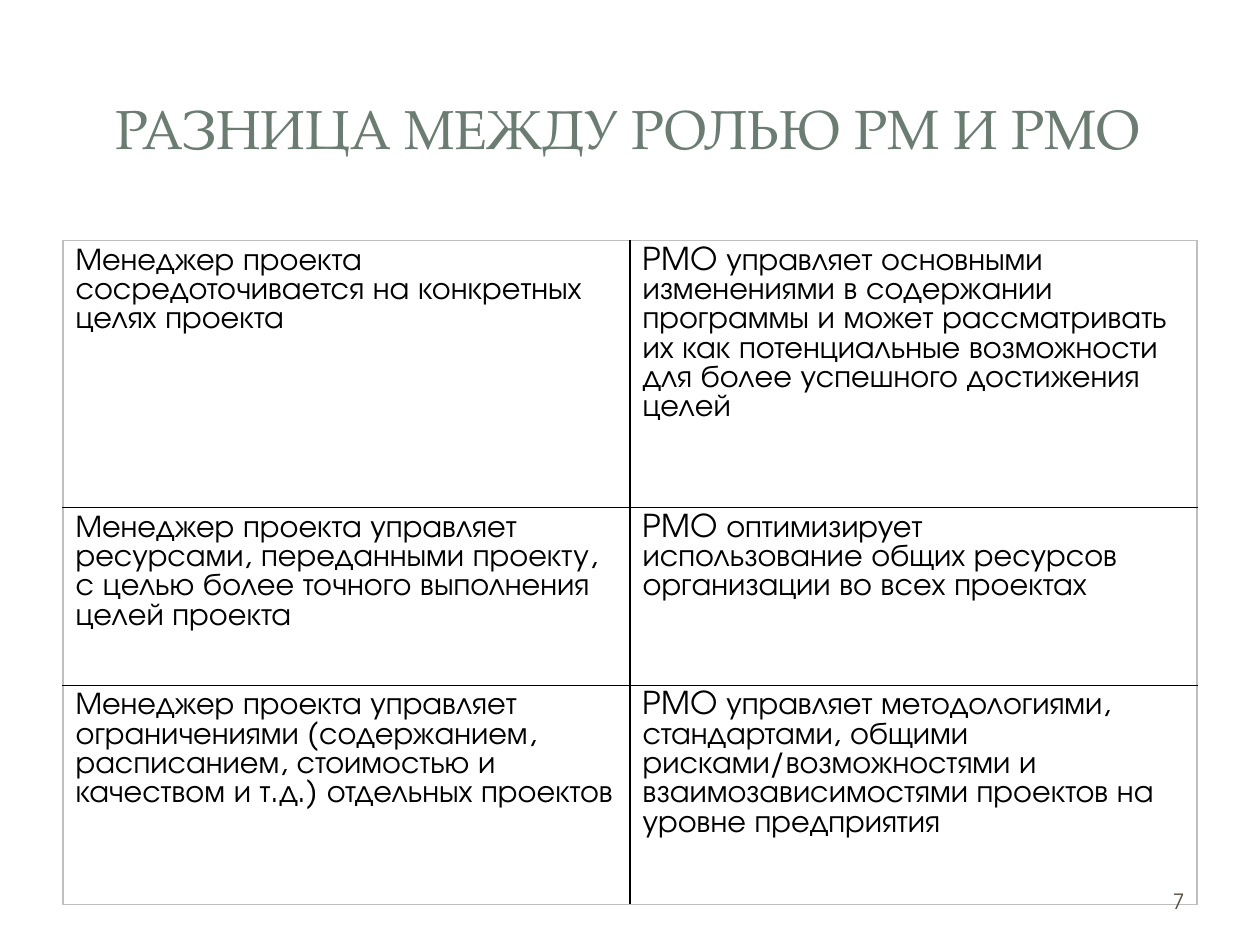
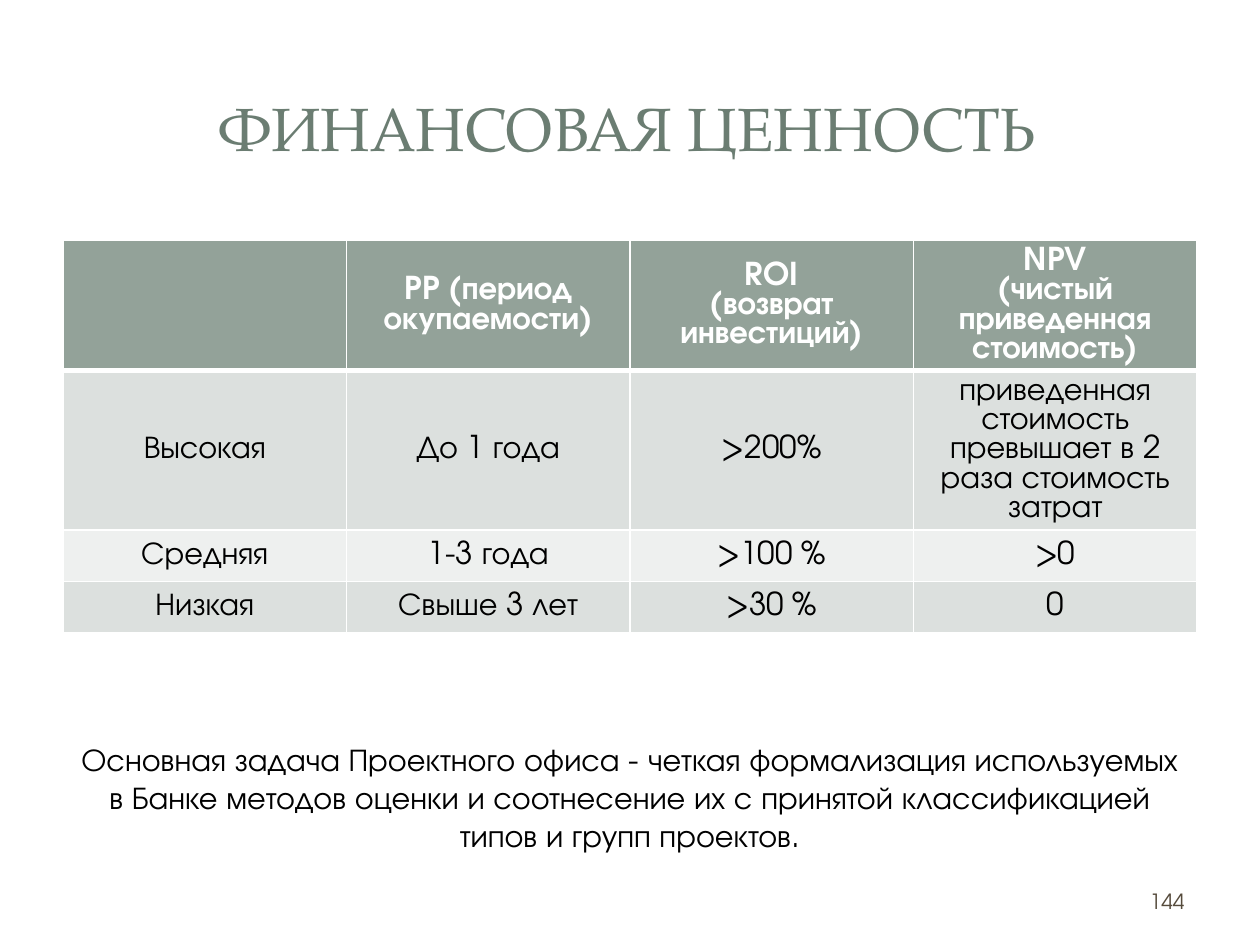
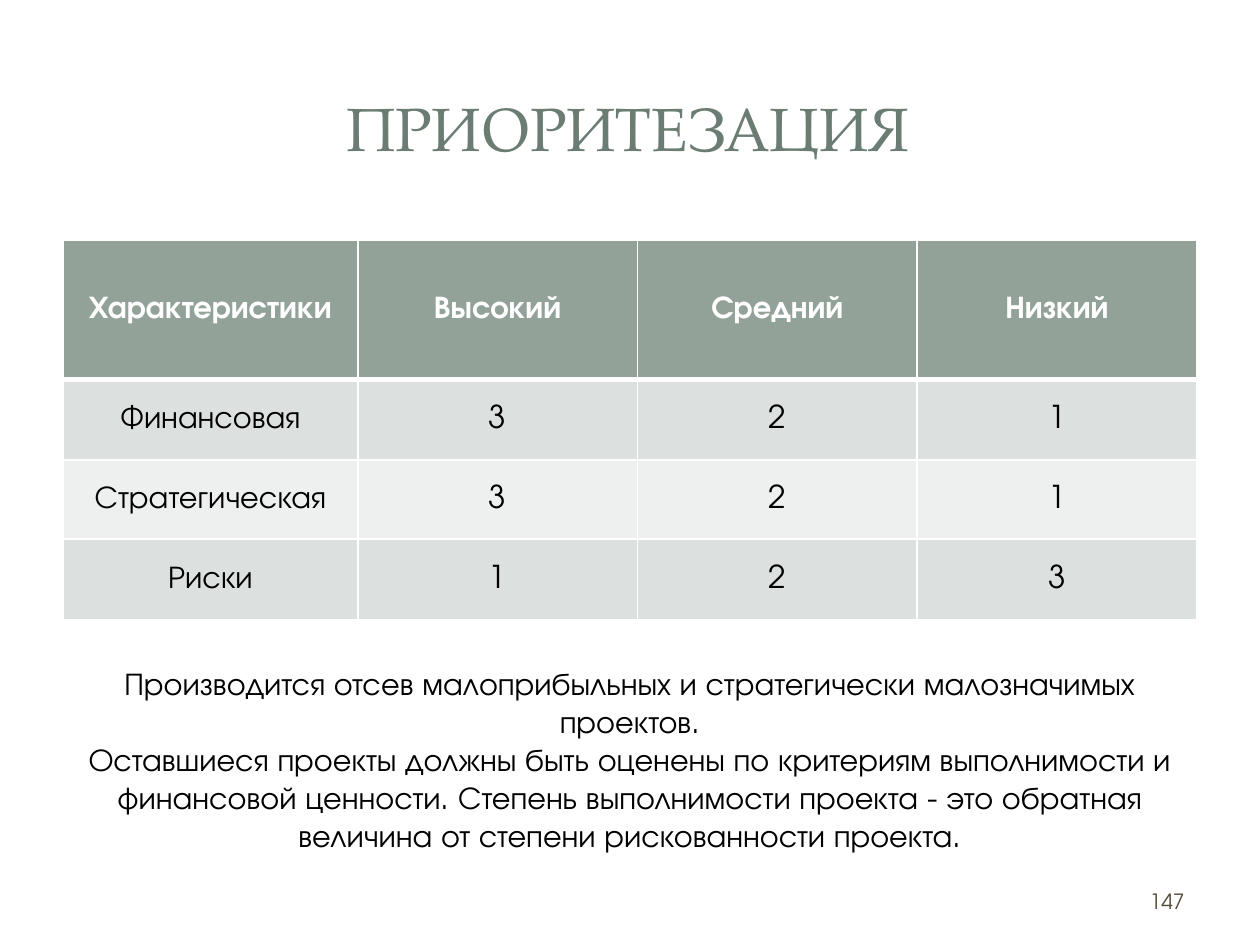
import pptx
import pptx.util
import pptx.dml.color
import pptx.enum.shapes
import pptx.enum.text
import pptx.oxml.ns
from lxml import etree

Inches = pptx.util.Inches
Pt = pptx.util.Pt
ALIGN = pptx.enum.text.PP_ALIGN
ANCHOR = pptx.enum.text.MSO_ANCHOR
SHAPE = pptx.enum.shapes.MSO_SHAPE

COLORS = {
    "title": "6B7D72",
    "text": "000000",
    "number": "564B3C",
    "white": "FFFFFF",
    "outline": "BFBFBF",
    "header": "93A299",
    "dark_band": "DCE0DE",
    "light_band": "EEF0EF",
}
TITLE_FONT = "TeX Gyre Pagella"
BODY_FONT = "TeX Gyre Adventor"
TABLE_LINE = 16.75
NOTE_LINE = 21.75
LEFT, TABLE_TOP, WIDTH = 0.5, 1.91, 9

PANELS = [
    (SHAPE.ROUNDED_RECTANGLE, (0.1, 0.11, 9.8, 7.29), 100),
    (SHAPE.RECTANGLE, (0.3, 0.3, 9.4, 1.45), 83),
    (SHAPE.RECTANGLE, (0.41, 0.41, 9.17, 1.22), 100),
]

SLIDES = [
    {
        "title": "РАЗНИЦА МЕЖДУ РОЛЬЮ PM И PMO",
        "title_size": 31.5,
        "number": "7",
        "banded": False,
        "columns": [4.5, 4.5],
        "heights": [2.12, 1.41, 1.74],
        "rows": [
            ["Менеджер проекта сосредоточивается на конкретных целях проекта",
             "PMO управляет основными изменениями в содержании программы и может "
             "рассматривать их как потенциальные возможности для более успешного "
             "достижения целей"],
            ["Менеджер проекта управляет ресурсами, переданными проекту, с целью "
             "более точного выполнения целей проекта",
             "PMO оптимизирует\nиспользование общих ресурсов организации во всех проектах"],
            ["Менеджер проекта управляет ограничениями (содержанием, расписанием, "
             "стоимостью и качеством и т.д.) отдельных проектов",
             "PMO управляет методологиями, стандартами, общими рисками/возможностями "
             "и взаимозависимостями проектов на уровне предприятия"],
        ],
    },
    {
        "title": "ФИНАНСОВАЯ ЦЕННОСТЬ",
        "title_size": 35,
        "number": "144",
        "banded": True,
        "columns": [2.25] * 4,
        "heights": [1.03, 1.25, 0.41, 0.41],
        "rows": [
            ["", "PP (период окупаемости)", "ROI\n(возврат инвестиций)",
             "NPV\n(чистый приведенная стоимость)"],
            ["Высокая", "До 1 года", ">200%",
             "приведенная стоимость превышает в 2 раза стоимость затрат"],
            ["Средняя", "1-3 года", ">100 %", ">0"],
            ["Низкая", "Свыше 3 лет", ">30 %", "0"],
        ],
        "note": "Основная задача Проектного офиса - четкая формализация используемых в "
                "Банке методов оценки и соотнесение их с принятой классификацией типов "
                "и групп проектов.",
        "note_place": (5.82, 1.01),
    },
    {
        "title": "ПРИОРИТЕЗАЦИЯ",
        "title_size": 35,
        "number": "147",
        "banded": True,
        "columns": [2.34, 2.22, 2.22, 2.22],
        "heights": [1.1, 0.64, 0.63, 0.64],
        "rows": [
            ["Характеристики", "Высокий", "Средний", "Низкий"],
            ["Финансовая", "3", "2", "1"],
            ["Стратегическая", "3", "2", "1"],
            ["Риски", "1", "2", "3"],
        ],
        "note": "Производится отсев малоприбыльных и стратегически малозначимых проектов.\n"
                "Оставшиеся проекты должны быть оценены по критериям выполнимости и "
                "финансовой ценности. Степень выполнимости проекта - это обратная величина "
                "от степени рискованности проекта.",
        "note_place": (5.22, 1.62),
    },
]


def rgb(color):
    return pptx.dml.color.RGBColor.from_string(COLORS[color])


def write_text(frame, text, size=18, font=BODY_FONT, color="text", bold=False,
               align=ALIGN.CENTER, anchor=ANCHOR.MIDDLE, line=None):
    frame.word_wrap = True
    frame.vertical_anchor = anchor
    frame.text = text
    for paragraph in frame.paragraphs:
        paragraph.alignment = align
        if line:
            paragraph.line_spacing = Pt(line)
        paragraph.font.size = Pt(size)
        for run in paragraph.runs:
            run.font.size = Pt(size)
            run.font.name = font
            run.font.bold = bold
            run.font.color.rgb = rgb(color)


def place(shape, left, top, width, height):
    shape.left, shape.top = Inches(left), Inches(top)
    shape.width, shape.height = Inches(width), Inches(height)


def add_text(slide, text, left, top, width, height, **text_format):
    box = slide.shapes.add_textbox(Inches(left), Inches(top), Inches(width), Inches(height))
    write_text(box.text_frame, text, **text_format)


def add_master_panels(presentation, slide):
    tree = presentation.slide_master.shapes._spTree
    for index, (kind, box, opacity) in enumerate(PANELS):
        panel = slide.shapes.add_shape(kind, *map(Inches, box))
        panel.shadow.inherit = False
        panel.fill.solid()
        panel.fill.fore_color.rgb = rgb("white")
        panel.line.fill.background()
        if kind == SHAPE.ROUNDED_RECTANGLE:
            panel.adjustments[0] = 0.02
        if opacity < 100:
            color = panel._element.spPr.find(".//" + pptx.oxml.ns.qn("a:srgbClr"))
            etree.SubElement(color, pptx.oxml.ns.qn("a:alpha"), val=str(opacity * 1000))
        tree.insert(2 + index, panel._element)


def set_borders(cell, left, right, top, bottom):
    properties = cell._tc.get_or_add_tcPr()
    sides = {"a:lnL": left, "a:lnR": right, "a:lnT": top, "a:lnB": bottom}
    for index, (tag, (color, width)) in enumerate(sides.items()):
        border = etree.Element(pptx.oxml.ns.qn(tag), w=str(Pt(width)))
        fill = etree.SubElement(border, pptx.oxml.ns.qn("a:solidFill"))
        etree.SubElement(fill, pptx.oxml.ns.qn("a:srgbClr"), val=COLORS[color])
        properties.insert(index, border)


def format_plain_cell(cell, text, row_index, column_index, last_row, last_column):
    write_text(cell.text_frame, text, align=ALIGN.LEFT, anchor=ANCHOR.TOP, line=TABLE_LINE)
    cell.vertical_anchor = ANCHOR.TOP
    cell.fill.background()
    outer = (column_index == 0, column_index == last_column,
             row_index == 0, row_index == last_row)
    set_borders(cell, *[("outline" if edge else "text", 1) for edge in outer])


def format_banded_cell(cell, text, row_index):
    header = row_index == 0
    band = "header" if header else "dark_band" if row_index % 2 else "light_band"
    write_text(cell.text_frame, text, color="white" if header else "text",
               bold=header, line=TABLE_LINE)
    cell.vertical_anchor = ANCHOR.MIDDLE
    cell.fill.solid()
    cell.fill.fore_color.rgb = rgb(band)
    thin, thick = ("white", 1), ("white", 3)
    set_borders(cell, thin, thin, thick if row_index == 1 else thin, thick if header else thin)


def add_table(slide, content):
    rows, columns, heights = content["rows"], content["columns"], content["heights"]
    table = slide.shapes.add_table(
        len(rows), len(columns), Inches(LEFT), Inches(TABLE_TOP),
        Inches(sum(columns)), Inches(sum(heights))).table
    table.first_row = content["banded"]
    table.horz_banding = content["banded"]
    for column, width in zip(table.columns, columns):
        column.width = Inches(width)
    for row_index, (row, height, texts) in enumerate(zip(table.rows, heights, rows)):
        row.height = Inches(height)
        for column_index, (cell, text) in enumerate(zip(row.cells, texts)):
            if content["banded"]:
                format_banded_cell(cell, text, row_index)
            else:
                format_plain_cell(cell, text, row_index, column_index,
                                  len(rows) - 1, len(columns) - 1)


def build_slide(presentation, content):
    slide = presentation.slides.add_slide(presentation.slide_layouts[5])
    title = slide.shapes.title
    place(title, 0.47, 0.44, 9.03, 1.14)
    write_text(title.text_frame, content["title"], size=content["title_size"],
               font=TITLE_FONT, color="title")
    title.text_frame.auto_size = pptx.enum.text.MSO_AUTO_SIZE.NONE
    add_table(slide, content)
    add_text(slide, content["number"], 7.17, 6.95, 2.33, 0.4,
             size=12, color="number", align=ALIGN.RIGHT)
    if "note" in content:
        top, height = content["note_place"]
        add_text(slide, content["note"], LEFT, top, WIDTH, height,
                 anchor=ANCHOR.TOP, line=NOTE_LINE)
    return slide


def main():
    presentation = pptx.Presentation()
    presentation.slide_width = Inches(10)
    presentation.slide_height = Inches(7.5)
    slides = [build_slide(presentation, content) for content in SLIDES]
    add_master_panels(presentation, slides[0])
    presentation.save("out.pptx")


if __name__ == "__main__":
    main()
